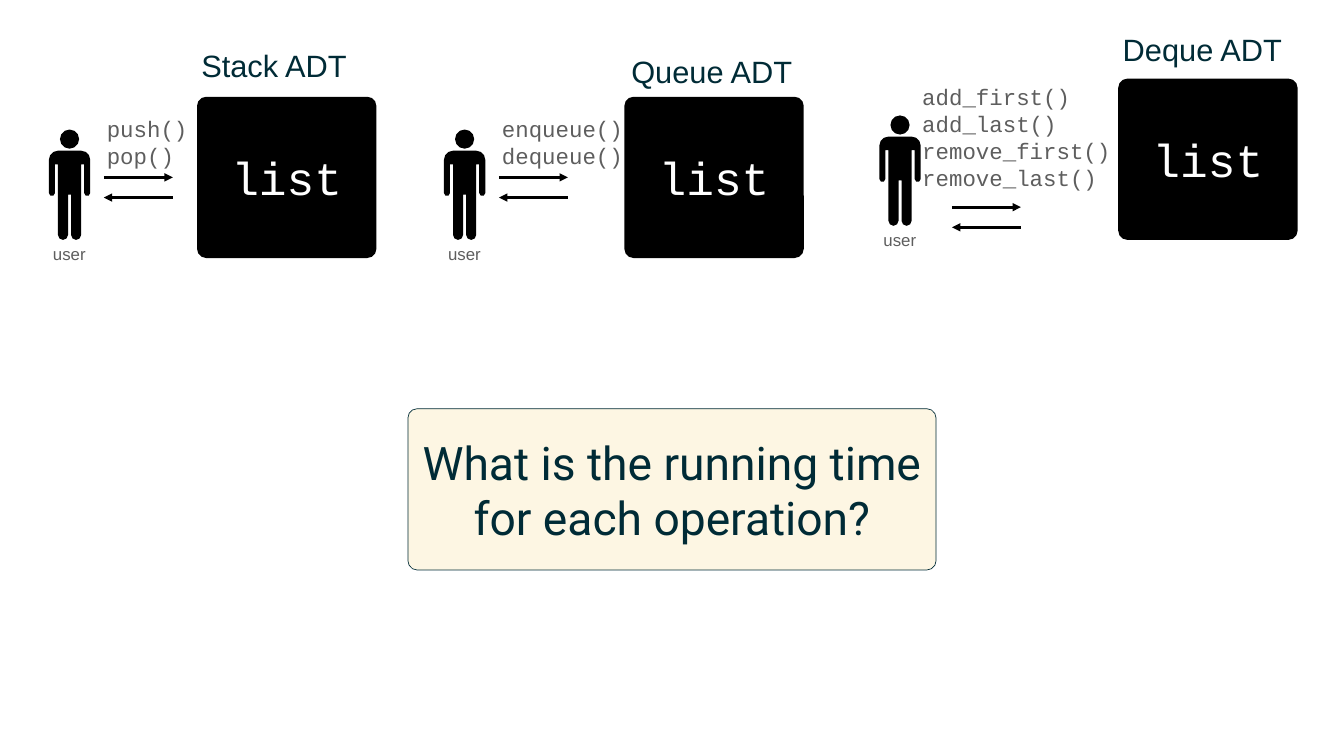
import math
from typing import NamedTuple

from lxml import etree
from pptx import Presentation, util as u
from pptx.dml.color import RGBColor
from pptx.enum import shapes, text
from pptx.oxml.ns import qn

# Positions are columns and rows of a grid with one-inch cells.
COLUMNS, ROWS = 26.67, 15
BLACK, WHITE, GREY, NAVY, CREAM = "000000", "FFFFFF", "5E5E5E", "002B36", "FDF6E3"
BOX_HEIGHT = 3.2
ARROW_LENGTH, ARROW_GAP = 1.37, 0.4


class Area(NamedTuple):
    column: float
    row: float
    width: float
    height: float


class TextStyle(NamedTuple):
    font: str
    size: int
    color: str
    align: text.PP_ALIGN = text.PP_ALIGN.CENTER


class Adt(NamedTuple):
    name: str
    name_area: Area
    box: tuple[float, float]
    user: tuple[float, float]
    arrows: tuple[float, float]
    methods: list[str]
    methods_area: Area


BOX_STYLE = TextStyle("Courier New", 66, WHITE)
NAME_STYLE = TextStyle("Arial", 44, NAVY)
USER_STYLE = TextStyle("Arial", 24, GREY)
METHOD_STYLE = TextStyle("Courier New", 32, GREY, text.PP_ALIGN.LEFT)
QUESTION_STYLE = TextStyle("Roboto", 66, NAVY)

ADTS = [
    Adt("Stack ADT", Area(3.91, 0.86, 3.06, 0.85), (3.91, 1.92), (0.97, 2.58),
        (2.06, 3.52), ["push()", "pop()"], Area(2.06, 2.22, 1.73, 1.19)),
    Adt("Queue ADT", Area(12.44, 0.98, 3.37, 0.85), (12.39, 1.92), (8.81, 2.58),
        (9.9, 3.52), ["enqueue()", "dequeue()"], Area(9.9, 2.22, 2.54, 1.19)),
    Adt("Deque ADT", Area(22.19, 0.56, 3.34, 0.85), (22.19, 1.56), (17.45, 2.3),
        (18.89, 4.11), ["add_first()", "add_last()", "remove_first()", "remove_last()"],
        Area(18.24, 1.58, 3.89, 2.27)),
]


def rgb(color: str) -> RGBColor:
    return RGBColor.from_string(color)


def emu(area: Area) -> list[int]:
    return [u.Inches(length) for length in area]


def write(shape, lines: list[str], style: TextStyle, wrap: bool) -> None:
    frame = shape.text_frame
    frame.word_wrap = wrap
    frame.vertical_anchor = text.MSO_ANCHOR.MIDDLE
    frame.margin_left = frame.margin_right = u.Inches(0.06)
    frame.margin_top = frame.margin_bottom = u.Inches(0.06)
    frame.text = "\n".join(lines)
    for paragraph in frame.paragraphs:
        paragraph.alignment = style.align
        paragraph.font.name = style.font
        paragraph.font.size = u.Pt(style.size)
        paragraph.font.color.rgb = rgb(style.color)


def add_label(parent, area: Area, lines: list[str], style: TextStyle) -> None:
    write(parent.add_textbox(*emu(area)), lines, style, wrap=False)


def paint(shape, fill: str, line: str | None = None) -> None:
    shape.shadow.inherit = False
    shape.fill.solid()
    shape.fill.fore_color.rgb = rgb(fill)
    if line:
        shape.line.color.rgb = rgb(line)
        shape.line.width = u.Pt(1)
    else:
        shape.line.fill.background()


def add_box(parent, area: Area, content: str, style: TextStyle,
            fill: str, line: str | None = None) -> None:
    box = parent.add_shape(shapes.MSO_SHAPE.ROUNDED_RECTANGLE, *emu(area))
    box.adjustments[0] = 0.057
    paint(box, fill, line)
    write(box, [content], style, wrap=True)


def arc(x: float, y: float, radius: float, start: int, end: int,
        step: int) -> list[tuple[float, float]]:
    """Points on a circle; degrees run clockwise from the right."""
    angles = [math.radians(angle) for angle in range(start, end + 1, step)]
    return [(x + radius * math.cos(a), y + radius * math.sin(a)) for a in angles]


def add_person(parent, column: float, row: float) -> None:
    head = arc(0, 0.18, 0.19, 0, 330, 30)
    right_half = [
        *arc(0.23, 0.59, 0.18, -90, 0, 30),    # shoulder
        *arc(0.35, 1.25, 0.06, 0, 180, 60),    # hand
        (0.29, 0.68), (0.23, 0.68),
        *arc(0.13, 2.08, 0.1, 0, 180, 45),     # foot
        (0.03, 1.28),
    ]
    body = right_half + [(-x, y) for x, y in reversed(right_half)]
    center = column + 0.41
    head, body = [[(u.Inches(center + x), u.Inches(row + y)) for x, y in part]
                  for part in (head, body)]
    builder = parent.build_freeform(*head[0])
    builder.add_line_segments(head[1:], close=True)
    builder.move_to(*body[0])
    builder.add_line_segments(body[1:], close=True)
    paint(builder.convert_to_shape(), BLACK)


def add_arrow(parent, start: float, end: float, row: float) -> None:
    arrow = parent.add_connector(shapes.MSO_CONNECTOR.STRAIGHT, u.Inches(start),
                                 u.Inches(row), u.Inches(end), u.Inches(row))
    arrow.line.color.rgb = rgb(BLACK)
    arrow.line.width = u.Pt(4)
    etree.SubElement(arrow.line._get_or_add_ln(), qn("a:tailEnd"),
                     type="triangle", w="med", len="med")
    etree.SubElement(arrow._element.spPr, qn("a:effectLst"))


def add_adt(slide, adt: Adt) -> None:
    group = slide.shapes.add_group_shape().shapes
    add_box(group, Area(*adt.box, 3.56, BOX_HEIGHT), "list", BOX_STYLE, BLACK)
    add_label(group, adt.name_area, [adt.name], NAME_STYLE)
    column, row = adt.user
    add_person(group, column, row)
    left, top = adt.arrows
    right = left + ARROW_LENGTH
    add_arrow(group, left, right, top)
    add_arrow(group, right, left, top + ARROW_GAP)
    add_label(group, Area(column + 0.02, row + 2.21, 0.77, 0.5), ["user"], USER_STYLE)
    add_label(group, adt.methods_area, adt.methods, METHOD_STYLE)


def main() -> None:
    presentation = Presentation()
    presentation.slide_width = u.Inches(COLUMNS)
    presentation.slide_height = u.Inches(ROWS)
    slide = presentation.slides.add_slide(presentation.slide_layouts[6])
    for adt in ADTS:
        add_adt(slide, adt)
    width = 10.48
    add_box(slide.shapes, Area((COLUMNS - width) / 2, 8.11, width, BOX_HEIGHT),
            "What is the running time for each operation?", QUESTION_STYLE, CREAM, NAVY)
    presentation.save("out.pptx")


if __name__ == "__main__":
    main()
